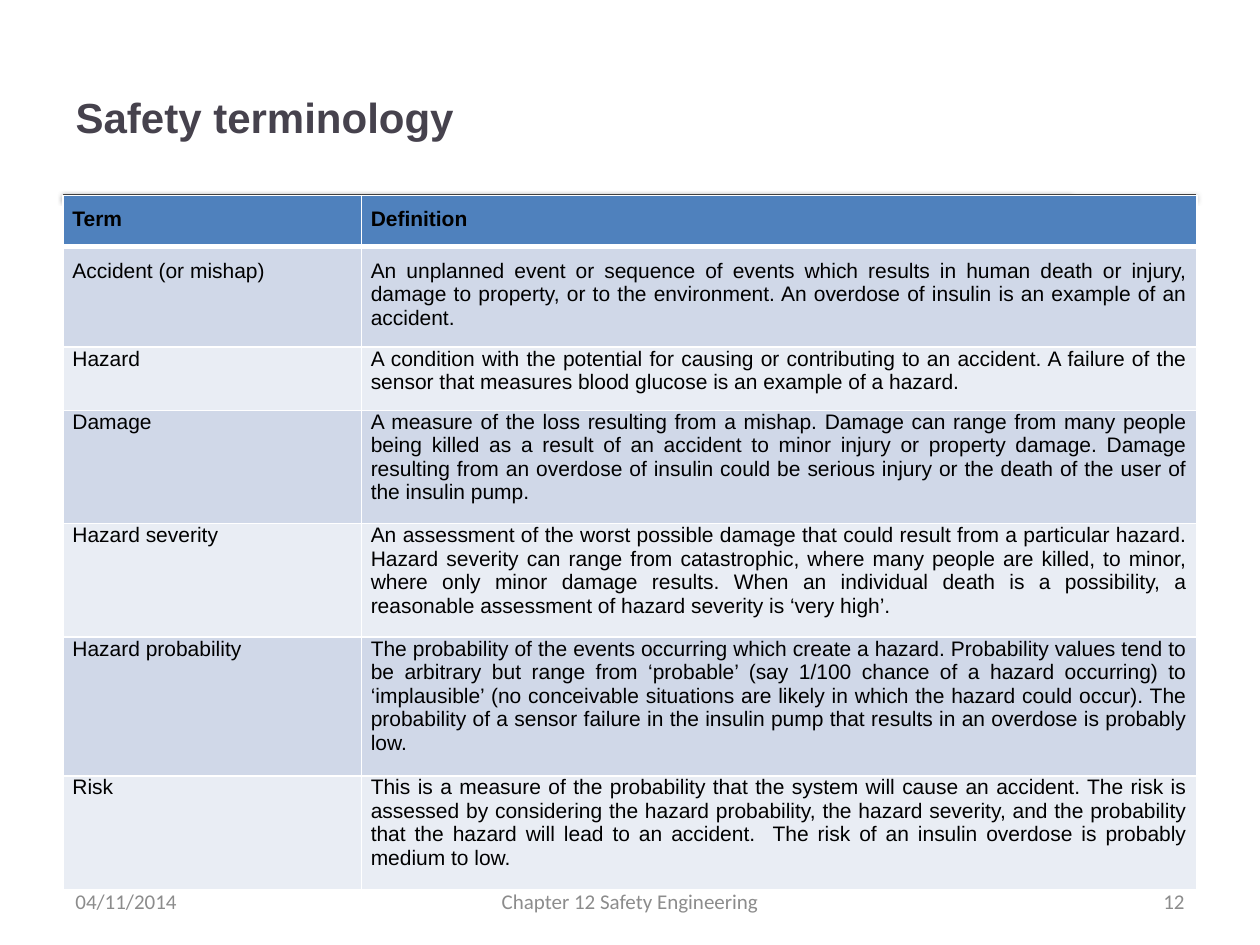
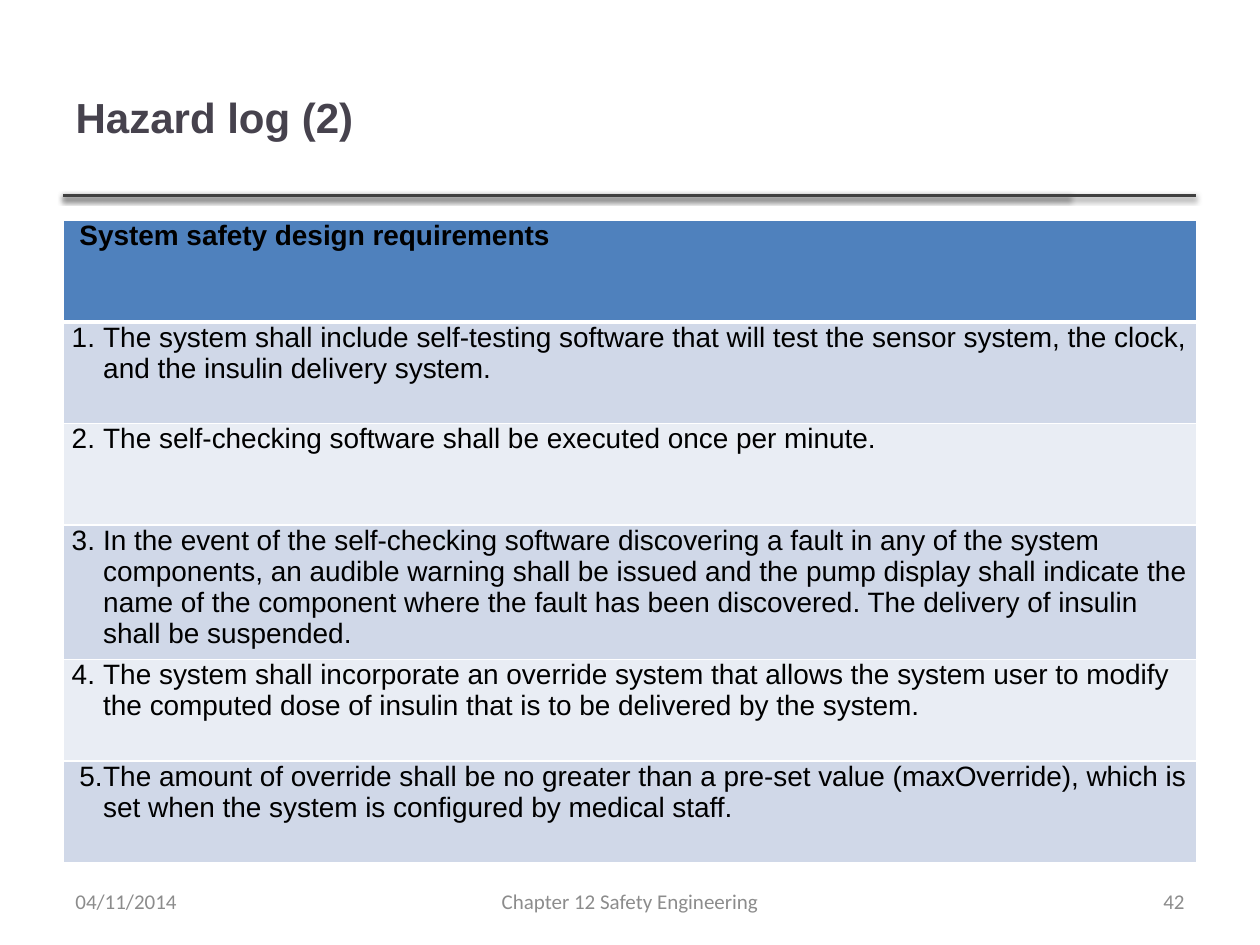
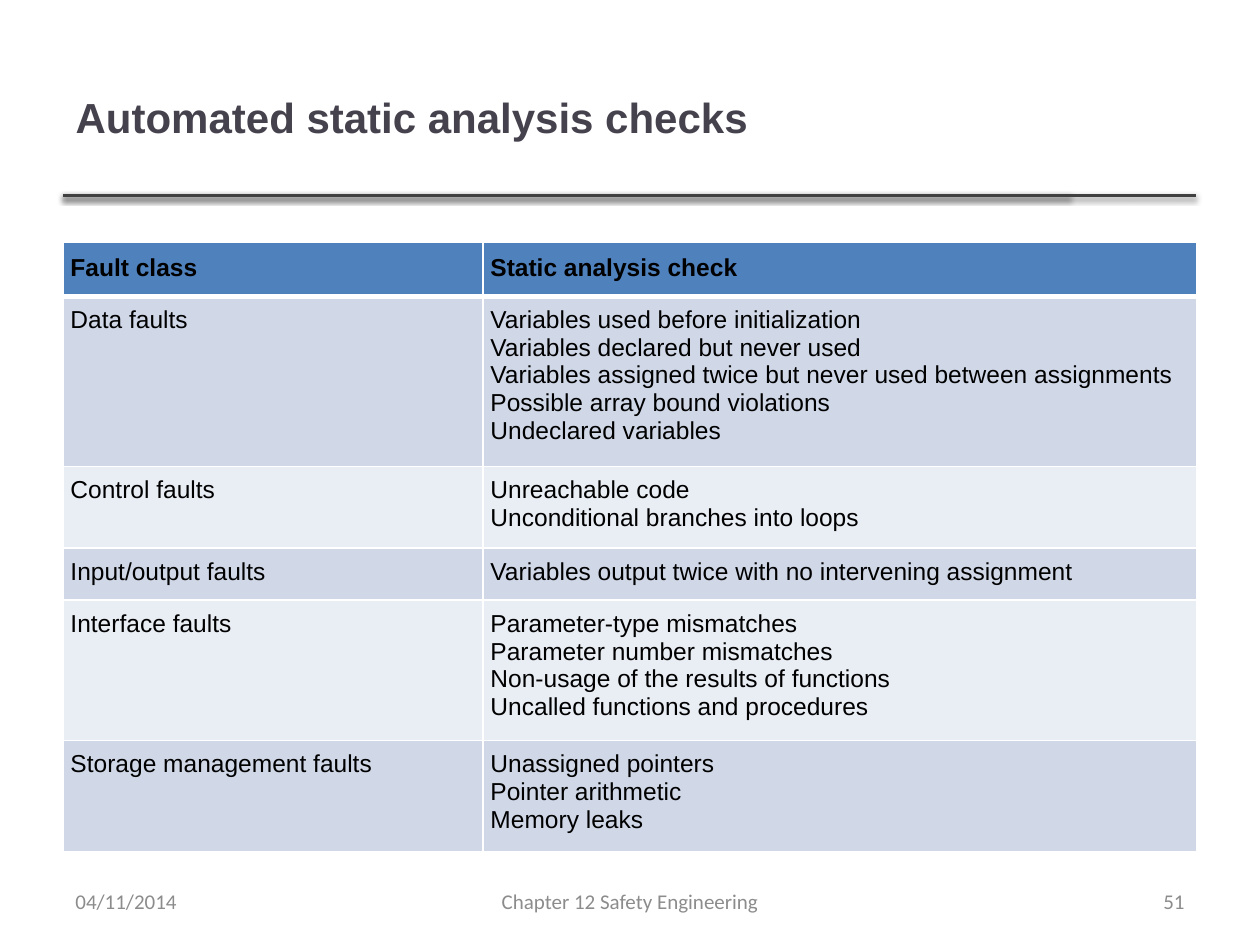
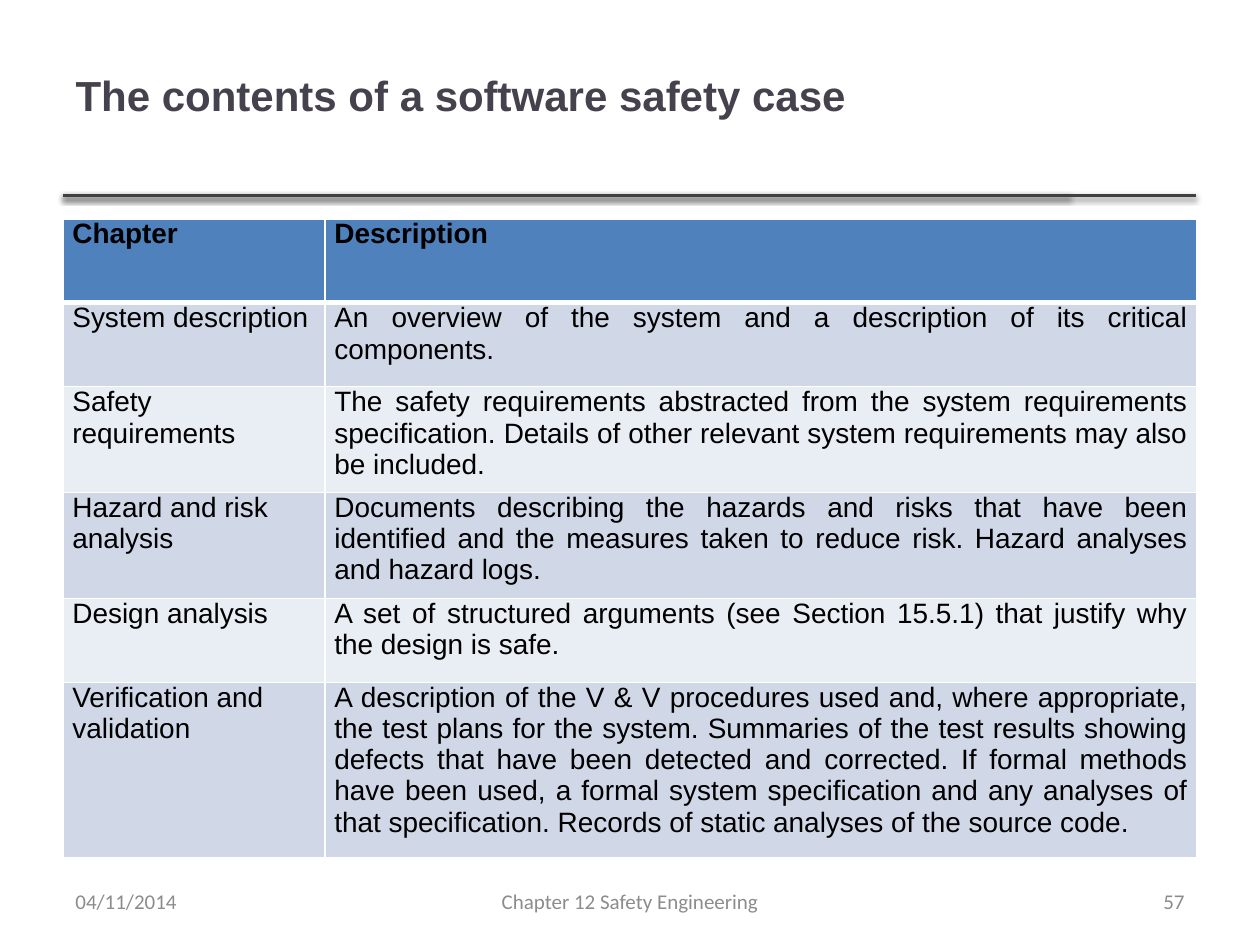
import pptx
import pptx.dml.color
import pptx.enum.shapes
import pptx.enum.text
import pptx.oxml
import pptx.oxml.ns
import pptx.util

Pt = pptx.util.Pt
ALIGN = pptx.enum.text.PP_ALIGN
MIDDLE = pptx.enum.text.MSO_ANCHOR.MIDDLE

INK, TITLE, RULE, FOOTER = "000000", "46424D", "404040", "8C8C8C"
HEADER_FILL, BAND_FILLS, GRID = "4F81BD", ("D0D8E8", "E9EDF4"), "FFFFFF"
LEFT, WIDTH = 36, 648
RULE_TOP = 111.6

TERMS = [
    ("Term", "Definition"),
    ("Accident (or mishap)",
     "An unplanned event or sequence of events which results in human death or injury, damage to "
     "property, or to the environment. An overdose of insulin is an example of an accident."),
    ("Hazard",
     "A condition with the potential for causing or contributing to an accident. A failure of the "
     "sensor that measures blood glucose is an example of a hazard."),
    ("Damage",
     "A measure of the loss resulting from a mishap. Damage can range from many people being killed "
     "as a result of an accident to minor injury or property damage. Damage resulting from an "
     "overdose of insulin could be serious injury or the death of the user of the insulin pump."),
    ("Hazard severity",
     "An assessment of the worst possible damage that could result from a particular hazard. Hazard "
     "severity can range from catastrophic, where many people are killed, to minor, where only minor "
     "damage results. When an individual death is a possibility, a reasonable assessment of hazard "
     "severity is ‘very high’."),
    ("Hazard probability",
     "The probability of the events occurring which create a hazard. Probability values tend to be "
     "arbitrary but range from ‘probable’ (say 1/100 chance of a hazard occurring) to ‘implausible’ "
     "(no conceivable situations are likely in which the hazard could occur). The probability of a "
     "sensor failure in the insulin pump that results in an overdose is probably low."),
    ("Risk",
     "This is a measure of the probability that the system will cause an accident. The risk is "
     "assessed by considering the hazard probability, the hazard severity, and the probability that "
     "the hazard will lead to an accident.  The risk of an insulin overdose is probably medium to low."),
]

REQUIREMENTS = [
    " System safety design requirements",
    "1. \tThe system shall include self-testing software that will test the sensor system, the clock, "
    "and the insulin delivery system.",
    "2. \tThe self-checking software shall be executed once per minute.",
    "3.\tIn the event of the self-checking software discovering a fault in any of the system "
    "components, an audible warning shall be issued and the pump display shall indicate the name of "
    "the component where the fault has been discovered. The delivery of insulin shall be suspended.",
    "4.\tThe system shall incorporate an override system that allows the system user to modify the "
    "computed dose of insulin that is to be delivered by the system.",
    " 5.\tThe amount of override shall be no greater than a pre-set value (maxOverride), which is set "
    "when the system is configured by medical staff.",
]

FAULTS = [
    ("Fault class", "Static analysis check"),
    ("Data faults",
     "Variables used before initialization\nVariables declared but never used\n"
     "Variables assigned twice but never used between assignments\n"
     "Possible array bound violations\nUndeclared variables"),
    ("Control faults", "Unreachable code\nUnconditional branches into loops"),
    ("Input/output faults", "Variables output twice with no intervening assignment"),
    ("Interface faults",
     "Parameter-type mismatches\nParameter number mismatches\n"
     "Non-usage of the results of functions\nUncalled functions and procedures"),
    ("Storage management faults", "Unassigned pointers\nPointer arithmetic\nMemory leaks"),
]

SAFETY_CASE = [
    ("Chapter", "Description"),
    ("System description", "An overview of the system and a description of its critical components."),
    ("Safety requirements",
     "The safety requirements abstracted from the system requirements specification. Details of other "
     "relevant system requirements may also be included."),
    ("Hazard and risk analysis",
     "Documents describing the hazards and risks that have been identified and the measures taken to "
     "reduce risk. Hazard analyses and hazard logs."),
    ("Design analysis",
     "A set of structured arguments (see Section 15.5.1) that justify why the design is safe."),
    ("Verification and validation",
     "A description of the V & V procedures used and, where appropriate, the test plans for the "
     "system. Summaries of the test results showing defects that have been detected and corrected. If "
     "formal methods have been used, a formal system specification and any analyses of that "
     "specification. Records of static analyses of the source code."),
]


def rgb(color):
    return pptx.dml.color.RGBColor.from_string(color)


def xml(markup):
    """Parse one element in the DrawingML namespace."""
    return pptx.oxml.parse_xml(markup.replace(" ", f" {pptx.oxml.ns.nsdecls('a')} ", 1))


def style_text(frame, size, color, font="Arial", bold=False, align=ALIGN.LEFT):
    for paragraph in frame.paragraphs:
        paragraph.alignment = align
        for run in paragraph.runs:
            run.font.size, run.font.name, run.font.bold = Pt(size), font, bold
            run.font.color.rgb = rgb(color)


def add_rules(slide):
    """Draw the two overlapping shadowed rules below the title."""
    for right in (611.3, 683.3):
        rule = slide.shapes.add_connector(
            pptx.enum.shapes.MSO_CONNECTOR.STRAIGHT, Pt(LEFT), Pt(RULE_TOP), Pt(right), Pt(RULE_TOP))
        rule.line.color.rgb = rgb(RULE)
        rule.line.width = Pt(2)
        rule.element.spPr.append(xml(
            f'<a:effectLst ><a:outerShdw blurRad="{Pt(3.1)}" dist="{Pt(1.6)}" dir="5400000" '
            'rotWithShape="0"><a:srgbClr val="000000"><a:alpha val="38000"/></a:srgbClr>'
            '</a:outerShdw></a:effectLst>'))


def add_footer(slide, number):
    parts = ((LEFT, 168, "04/11/2014", ALIGN.LEFT),
             (246, 228, "Chapter 12 Safety Engineering", ALIGN.CENTER),
             (516, 168, str(number), ALIGN.RIGHT))
    for left, width, words, align in parts:
        frame = slide.shapes.add_textbox(Pt(left), Pt(500.5), Pt(width), Pt(28.75)).text_frame
        frame.word_wrap = True
        frame.vertical_anchor = MIDDLE
        frame.text = words
        style_text(frame, 12, FOOTER, "Calibri", align=align)


def start_slide(deck, title, number, title_top=21.6, title_width=575):
    slide = deck.slides.add_slide(deck.slide_layouts[5])
    add_rules(slide)
    heading = slide.shapes.title
    heading.left, heading.top = Pt(LEFT), Pt(title_top)
    heading.width, heading.height = Pt(title_width), Pt(90)
    heading.text_frame.text = title
    heading.text_frame.vertical_anchor = MIDDLE
    heading.text_frame.auto_size = pptx.enum.text.MSO_AUTO_SIZE.NONE
    style_text(heading.text_frame, 24, TITLE, bold=True)
    add_footer(slide, number)
    return slide


def style_cell(cell, row):
    """Fill the cell by its row and draw the white grid around it."""
    properties = cell._tc.get_or_add_tcPr()
    for side in "LRTB":
        width = Pt(3 if row == 0 and side == "B" else 1)
        properties.append(xml(
            f'<a:ln{side} w="{width}"><a:solidFill><a:srgbClr val="{GRID}"/></a:solidFill></a:ln{side}>'))
    cell.fill.solid()
    cell.fill.fore_color.rgb = rgb(BAND_FILLS[(row - 1) % 2] if row else HEADER_FILL)


def add_grid(slide, records, top, height, columns, rows, size, side, insets, left_rows=()):
    """Add a table; insets gives (top, bottom) by row, left_rows the rows with a left-set first cell."""
    holder = slide.shapes.add_table(
        len(records), len(columns), Pt(LEFT), Pt(top), Pt(WIDTH), Pt(height))
    table = holder.table
    for column, width in zip(table.columns, columns):
        column.width = Pt(width)
    for row, row_height in zip(table.rows, rows):
        row.height = Pt(row_height)
    holder.height = Pt(height)
    for r, record in enumerate(records):
        for c in range(len(columns)):
            cell = table.cell(r, c)
            style_cell(cell, r)
            cell.margin_left = cell.margin_right = Pt(side)
            cell.margin_top, cell.margin_bottom = (Pt(inset) for inset in insets[r])
            if c < len(record):
                cell.text_frame.text = record[c]
                align = ALIGN.LEFT if c == 0 and r in left_rows else ALIGN.JUSTIFY
                style_text(cell.text_frame, size, INK, bold=r == 0, align=align)
    return table


def span_numbered_rows(table):
    """Merge each row into one cell and hang the numbered texts."""
    last_column, last_row = len(table.columns) - 1, len(table.rows) - 1
    for r in range(last_row + 1):
        cell = table.cell(r, 0)
        cell.merge(table.cell(r, last_column))
        paragraph = cell.text_frame.paragraphs[0]
        paragraph.space_before = Pt({0: 3, 1: 4}.get(r, 2))
        if r in (0, last_row):
            paragraph.space_after = Pt(3)
        if r:
            properties = paragraph._p.get_or_add_pPr()
            properties.set("marL", str(Pt(18)))
            properties.set("indent", str(Pt(-22.5 if r == last_row else -18)))


def main():
    deck = pptx.Presentation()
    deck.slide_width, deck.slide_height = Pt(720), Pt(540)

    terminology = start_slide(deck, "Safety terminology", 12)
    add_grid(terminology, TERMS, RULE_TOP, 396.7, (170.5, 477.5), [29.2] * 7, 12, 5.4,
             [(7.2, 0), (7.2, 7.2)] + [(0, 7.2)] * 5, left_rows=(1,))

    hazard_log = start_slide(deck, "Hazard log (2)", 42)
    span_numbered_rows(add_grid(
        hazard_log, [(words,) for words in REQUIREMENTS], 126, 366.5, [WIDTH / 7] * 7, [58] * 6,
        16, 5, [(0, 0)] * 6, left_rows=range(1, 6)))

    checks = start_slide(deck, "Automated static analysis checks", 51)
    add_grid(checks, FAULTS, 138.2, 347.8, (240, 408), [29.2] * 6, 14, 4.3,
             [(7.2, 7.2)] + [(5.8, 7.2)] * 5)

    safety_case = start_slide(deck, "The contents of a software safety case", 57, 9, WIDTH)
    add_grid(safety_case, SAFETY_CASE, 125, 365, (149.7, 498.3), (48, 48, 52.6, 52.6, 48, 100),
             16, 5.4, [(0, 2.9)] * 6, left_rows=range(1, 6))

    deck.save("out.pptx")


if __name__ == "__main__":
    main()
